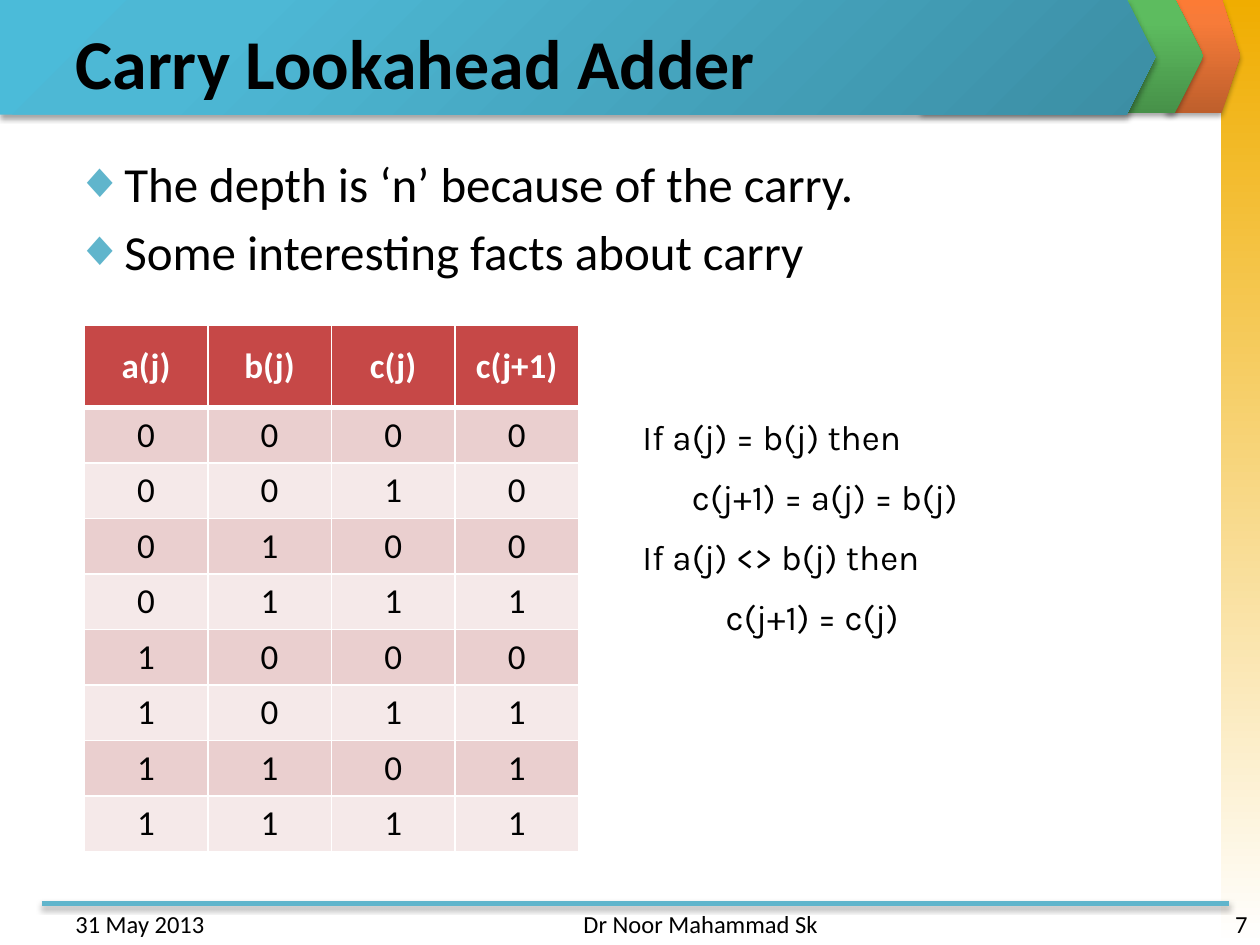
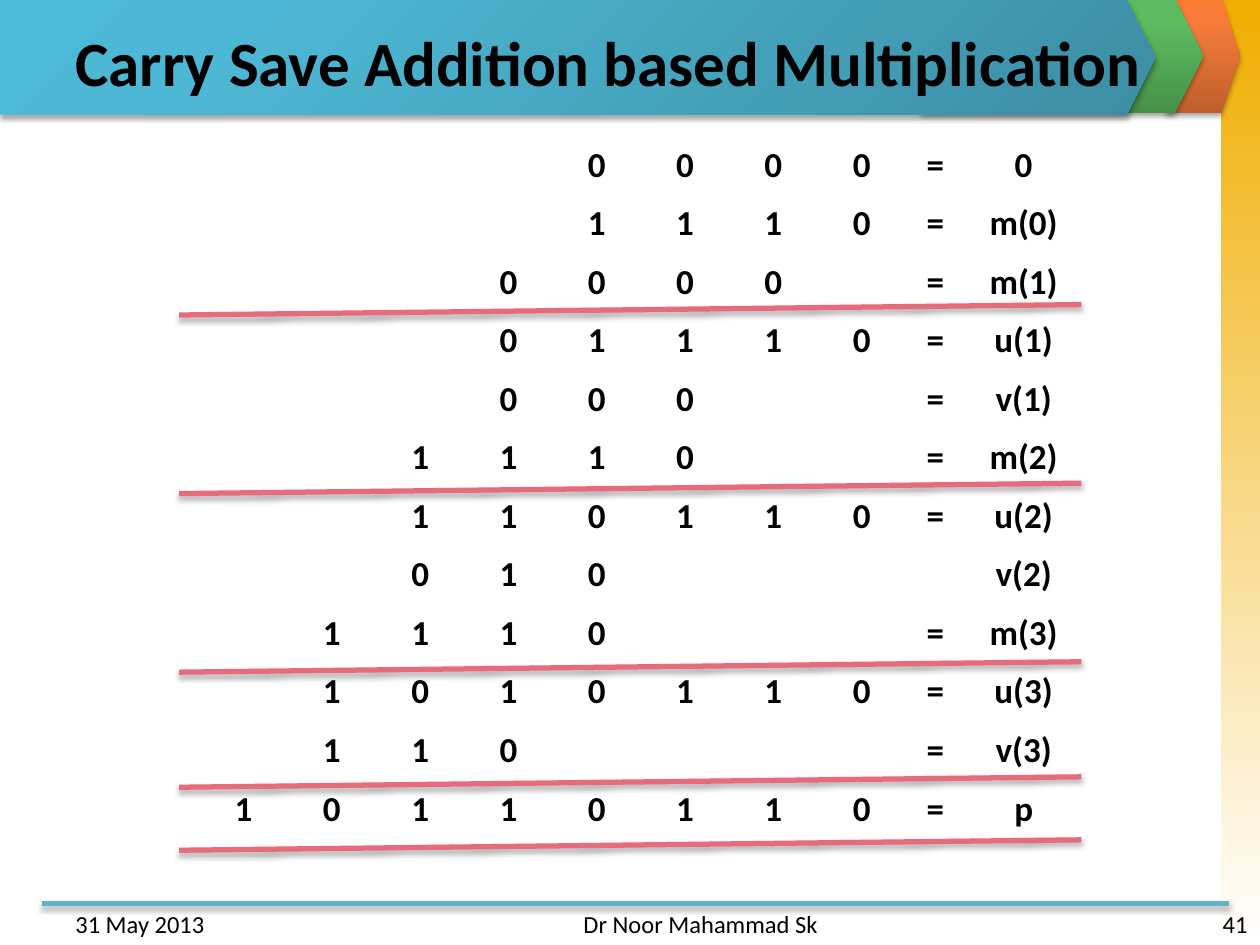
from pptx import Presentation
from pptx.dml.color import RGBColor
from pptx.enum import shapes, text
from pptx.oxml import parse_xml
from pptx.oxml.ns import nsdecls, qn
from pptx.util import Cm, Pt

BLACK, WHITE = "000000", "FFFFFF"
TEAL, ROSE, RED = "60B5CC", "E66C7D", "C64847"
ROW_TINTS = ("EACFCF", "F5E9E9")
FONT, RULE_FONT = "Calibri", "Karla"
TITLE_ONLY, TITLE_AND_BODY = 5, 1

TITLE_BOX = (1.27, 0.36, 22.86, 1.75)
FOOTER_TOP, FOOTER_HEIGHT = 18.21, 0.64

CARRY_HEADS = ("a(j)", "b(j)", "c(j)", "c(j+1)")
CARRY_BITS = ("0000", "0010", "0100", "0111", "1000", "1011", "1101", "1111")
# Each rule line: wording and left indent in cm
CARRY_RULES = (
    ("If a(j) = b(j) then", 0),
    ("c(j+1) = a(j) = b(j)", 1),
    ("If a(j) <> b(j) then", 0),
    ("c(j+1) = c(j)", 1.68),
)
# Each row of the sum: bits, places shifted left, sign, label
PARTIAL_SUMS = (
    ("0000", 0, "=", "0"),
    ("1110", 0, "=", "m(0)"),
    ("0000", 1, "=", "m(1)"),
    ("01110", 0, "=", "u(1)"),
    ("000", 2, "=", "v(1)"),
    ("1110", 2, "=", "m(2)"),
    ("110110", 0, "=", "u(2)"),
    ("010", 3, "", "v(2)"),
    ("1110", 3, "=", "m(3)"),
    ("1010110", 0, "=", "u(3)"),
    ("110", 4, "=", "v(3)"),
    ("10110110", 0, "=", "p"),
)
SUM_LINE_TOPS = (6.14, 9.74, 13.34, 15.66, 16.93)


def rgb(value):
    return RGBColor.from_string(value)


def cm(*lengths):
    return [Cm(length) for length in lengths]


def drawing(xml):
    """Parse one DrawingML element whose opening tag holds the mark NS."""
    return parse_xml(xml.replace("NS", nsdecls("a"), 1))


def format_runs(paragraph, size, color=BLACK, bold=False, font=FONT):
    for run in paragraph.runs:
        run.font.name = font
        run.font.size = Pt(size)
        run.font.bold = bold
        run.font.color.rgb = rgb(color)


def add_soft_shadow(shape):
    shape.element.spPr.append(drawing(
        '<a:effectLst NS><a:outerShdw blurRad="40000" dist="23000" dir="5400000" '
        'rotWithShape="0"><a:srgbClr val="000000"><a:alpha val="35000"/></a:srgbClr>'
        '</a:outerShdw></a:effectLst>'))


def add_shadowed_line(slide, start, end, color):
    line = slide.shapes.add_connector(
        shapes.MSO_CONNECTOR.STRAIGHT, *cm(*start, *end))
    line.line.color.rgb = rgb(color)
    line.line.width = Pt(3)
    add_soft_shadow(line)
    return line


def add_gradient_shape(slide, preset, box, stops, direction):
    """Add an outline-free shape; direction is the XML of the gradient's course."""
    shape = slide.shapes.add_shape(preset, *cm(*box))
    shape.shadow.inherit = False
    shape.line.fill.background()
    shape.fill.background()
    marks = "".join(
        f'<a:gs pos="{place * 1000}"><a:srgbClr val="{color}"/></a:gs>'
        for place, color in stops)
    properties = shape.element.spPr
    properties.replace(
        properties.find(qn("a:noFill")),
        drawing(f'<a:gradFill NS rotWithShape="1"><a:gsLst>{marks}</a:gsLst>'
                f'{direction}</a:gradFill>'))
    return shape


def add_arrow_band(slide, box, colors, direction):
    band = add_gradient_shape(slide, shapes.MSO_SHAPE.PENTAGON, box,
                              zip((0, 80, 100), colors), direction)
    band.adjustments[0] = 0.25
    properties = band.element.spPr
    properties.remove(properties.find(qn("a:effectLst")))
    add_soft_shadow(band)
    return band


def decorate_master(master, slide):
    """Draw the shared bands with the slide's tools and move them to the master."""
    upward = '<a:lin ang="16200000" scaled="0"/>'
    downward = '<a:lin ang="5400000" scaled="0"/>'
    from_corner = ('<a:path path="circle">'
                   '<a:fillToRect l="100000" t="100000"/></a:path>')
    bands = (
        add_gradient_shape(slide, shapes.MSO_SHAPE.RECTANGLE,
                           (24.61, 0, 0.79, 19.05),
                           ((0, "F0AD00"), (100, WHITE)), downward),
        add_arrow_band(slide, (23.5, -0.03, 1.5, 2.31),
                       ("BE5F2C", "F77B39", "FC7B35"), upward),
        add_arrow_band(slide, (18.57, -0.03, 5.69, 2.31),
                       ("479149", "5DBC5F", "5BBF5E"), upward),
        add_shadowed_line(slide, (0.84, FOOTER_TOP), (24.77, FOOTER_TOP), TEAL),
        add_arrow_band(slide, (0, 0, 23.29, 2.31),
                       ("3C8EA4", "4DB8D5", "4BBBD9"), from_corner),
    )
    tree = master.element.cSld.spTree
    for order, band in enumerate(bands):
        band.element.xpath(".//p:cNvPr")[0].set("id", str(20 + order))
        tree.insert(2 + order, band.element)


def place(shape, box):
    shape.left, shape.top, shape.width, shape.height = cm(*box)


def fill_title(slide, wording, size):
    title = slide.shapes.title
    place(title, TITLE_BOX)
    frame = title.text_frame
    frame.text = wording
    frame.auto_size = text.MSO_AUTO_SIZE.NONE
    frame.vertical_anchor = text.MSO_ANCHOR.MIDDLE
    frame.paragraphs[0].alignment = text.PP_ALIGN.LEFT
    format_runs(frame.paragraphs[0], size, bold=True)


def add_footer(slide, number):
    left, right = text.PP_ALIGN.LEFT, text.PP_ALIGN.RIGHT
    for wording, start, width, side in (
            ("31 May 2013", 1.27, 5.92, left),
            ("Dr Noor Mahammad Sk", 8.69, 8.05, right),
            (str(number), 19.48, 5.92, right)):
        frame = slide.shapes.add_textbox(
            *cm(start, FOOTER_TOP, width, FOOTER_HEIGHT)).text_frame
        frame.word_wrap = True
        frame.text = wording
        frame.paragraphs[0].alignment = side
        format_runs(frame.paragraphs[0], 14)


def fill_bullets(slide, box, points):
    body = slide.placeholders[1]
    place(body, box)
    frame = body.text_frame
    frame.text = "\n".join(points)
    frame.auto_size = text.MSO_AUTO_SIZE.NONE
    for order, paragraph in enumerate(frame.paragraphs):
        properties = paragraph._p.get_or_add_pPr()
        properties.set("marL", str(Cm(0.95)))
        properties.set("indent", str(Cm(-0.95)))
        properties.append(drawing(
            f'<a:buClr NS><a:srgbClr val="{TEAL}"/></a:buClr>'))
        properties.append(drawing('<a:buChar NS char="◆"/>'))
        paragraph.space_before = Pt(5 if order else 0)
        format_runs(paragraph, 28)


def add_grid(slide, left, top, widths, heights):
    frame = slide.shapes.add_table(
        len(heights), len(widths), *cm(left, top, sum(widths), sum(heights)))
    table = frame.table
    for column, width in zip(table.columns, widths):
        column.width = Cm(width)
    for row, height in zip(table.rows, heights):
        row.height = Cm(height)
    return table


def fill_cell(cell, wording, color=BLACK, bold=False):
    cell.vertical_anchor = text.MSO_ANCHOR.MIDDLE
    cell.text = wording
    paragraph = cell.text_frame.paragraphs[0]
    paragraph.alignment = text.PP_ALIGN.CENTER
    format_runs(paragraph, 20, color, bold)


def add_white_borders(cell, top=1, bottom=1):
    properties = cell._tc.get_or_add_tcPr()
    for side, width in (("L", 1), ("R", 1), ("T", top), ("B", bottom)):
        properties.append(drawing(
            f'<a:ln{side} NS w="{Pt(width)}"><a:solidFill><a:srgbClr val="{WHITE}"/>'
            f'</a:solidFill></a:ln{side}>'))


def add_carry_table(slide, left, top):
    table = add_grid(slide, left, top, [2.49] * 4, [1.65] + [1.12] * 8)
    for r, row in enumerate((CARRY_HEADS, *CARRY_BITS)):
        is_head = r == 0
        for c, wording in enumerate(row):
            cell = table.cell(r, c)
            add_white_borders(cell, top=3 if r == 1 else 1,
                              bottom=3 if is_head else 1)
            cell.fill.solid()
            cell.fill.fore_color.rgb = rgb(RED if is_head else ROW_TINTS[(r - 1) % 2])
            fill_cell(cell, wording, WHITE if is_head else BLACK, is_head)


def add_carry_rules(slide, box):
    frame = slide.shapes.add_textbox(*cm(*box)).text_frame
    frame.word_wrap = True
    frame.text = "\n".join(wording for wording, _ in CARRY_RULES)
    for order, (paragraph, (_, indent)) in enumerate(
            zip(frame.paragraphs, CARRY_RULES)):
        paragraph._p.get_or_add_pPr().set("marL", str(Cm(indent)))
        paragraph.space_before = Pt(10.3 if order else 0)
        format_runs(paragraph, 20, font=RULE_FONT)


def add_sum_table(slide, left, top):
    places = 8
    table = add_grid(slide, left, top, [1.78] * places + [1.19, 2.37],
                     [1.18] * len(PARTIAL_SUMS))
    table.first_row = table.horz_banding = False
    for r, (bits, shift, sign, label) in enumerate(PARTIAL_SUMS):
        blanks = [""] * (places - shift - len(bits))
        row = [*blanks, *bits, *[""] * shift, sign, label]
        for c, wording in enumerate(row):
            cell = table.cell(r, c)
            cell.fill.background()
            if wording:
                fill_cell(cell, wording, bold=True)


def add_sum_lines(slide, left, right):
    for top in SUM_LINE_TOPS:
        add_shadowed_line(slide, (right, top), (left, top + 0.21), ROSE)


def build_lookahead_slide(slide):
    fill_title(slide, "Carry Lookahead Adder", 40)
    fill_bullets(slide, (1.27, 2.97, 22.86, 3.61),
                 ("The depth is ‘n’ because of the carry.",
                  "Some interesting facts about carry"))
    add_footer(slide, 7)
    add_carry_table(slide, 1.7, 6.56)
    add_carry_rules(slide, (12.7, 8.26, 9.32, 4.95))


def build_multiplication_slide(slide):
    fill_title(slide, "Carry Save Addition based Multiplication", 36)
    add_footer(slide, 41)
    add_sum_table(slide, 4.02, 2.74)
    add_sum_lines(slide, 3.61, 21.8)


def main():
    prs = Presentation()
    prs.slide_width, prs.slide_height = cm(25.4, 19.05)
    lookahead = prs.slides.add_slide(prs.slide_layouts[TITLE_AND_BODY])
    decorate_master(prs.slide_master, lookahead)
    build_lookahead_slide(lookahead)
    build_multiplication_slide(
        prs.slides.add_slide(prs.slide_layouts[TITLE_ONLY]))
    prs.save("out.pptx")


if __name__ == "__main__":
    main()
